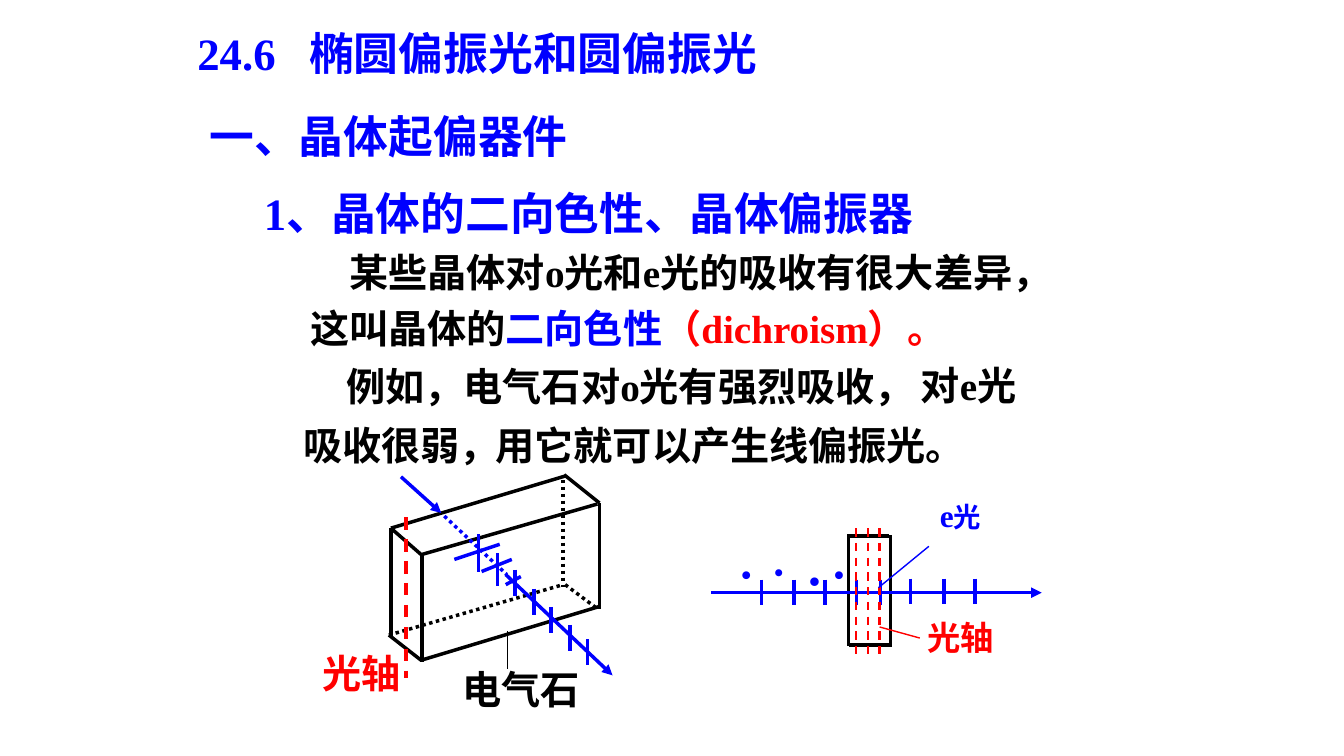
from lxml import etree
from pptx import Presentation
from pptx.dml.color import RGBColor
from pptx.enum import dml, shapes
from pptx.oxml import ns
from pptx.util import Inches, Pt

COLORS = {"blue": "0000FF", "red": "FF0000", "black": "000000"}
FONT = "Times New Roman"
TITLE_TAB = 1.11

# left, top, width, height, size, runs of (text, colour)
HEADINGS = [
    (1.86, 0.21, 7.75, 0.64, 32, [("24.6\t椭圆偏振光和圆偏振光", "blue")]),
    (1.98, 1.03, 5.17, 0.64, 32, [("一、晶体起偏器件", "blue")]),
    (2.52, 1.79, 7.65, 0.64, 32, [("1、晶体的二向色性、晶体偏振器", "blue")]),
]
BODY = [
    (3.37, 2.41, 7.94, 0.57, 28, [("某些晶体对o光和e光的吸收有很大差异，", "black")]),
    (2.98, 2.97, 8.33, 0.57, 28, [("这叫晶体的", "black"), ("二向色性", "blue"),
                                  ("（dichroism）。", "red")]),
    (3.34, 3.55, 8.03, 0.57, 28, [("例如，电气石对o光有强烈吸收，", "black")]),
    (9.04, 3.54, 1.88, 0.57, 28, [("对e光", "black")]),
    (2.91, 4.13, 3.56, 0.57, 28, [("吸收很弱，", "black")]),
    (4.82, 4.13, 5.48, 0.57, 28, [("用它就可以产生线偏振光。", "black")]),
]
CRYSTAL_LABELS = [
    (4.49, 6.55, 1.59, 0.71, 28, [("电气石", "black")]),
    (3.10, 6.39, 1.08, 0.76, 28, [("光轴", "red")]),
]
AXIS_LABEL = (9.11, 6.12, 1.37, 0.53, 23.8, [("光轴", "red")])
E_RAY_LABEL = (9.23, 4.94, 1.11, 0.51, 22.4, [("e", "blue"), ("光", "blue")])
E_RAY_SIZES = (22.4, 19.6)

# Lines are x1, y1, x2, y2
PLATE_EDGES = [(8.41, 5.32, 8.82, 5.32), (8.42, 5.32, 8.42, 6.41),
               (8.84, 5.31, 8.84, 6.42), (8.43, 6.40, 8.83, 6.40)]
PLATE_RAY = (7.06, 5.88, 10.34, 5.88)
TICKS_BEFORE = [7.56, 7.88, 8.19, 8.50, 8.74]
TICKS_AFTER = [9.04, 9.37, 9.68]
PLATE_TICK = 0.25
PLATE_AXES = [8.50, 8.62, 8.73]
# left, height, size, line spacing
O_RAY_DOTS = [(7.32, 0.63, 34.1, 0.8), (7.65, 0.58, 30.8, 0.8),
              (7.99, 0.69, 37.4, 0.9), (8.24, 0.61, 34.1, 0.8)]

CRYSTAL_EDGES = [
    (3.88, 5.24, 4.19, 5.51), (3.86, 6.30, 4.18, 6.55), (3.88, 5.24, 3.88, 6.31),
    (4.19, 5.51, 4.19, 6.57), (4.18, 6.55, 5.94, 6.02), (4.19, 5.50, 5.93, 5.00),
    (3.88, 5.24, 5.62, 4.72), (5.95, 4.99, 5.95, 6.04), (5.60, 4.71, 5.95, 4.99),
]
HIDDEN_EDGES = [(5.59, 4.76, 5.59, 5.82), (5.61, 5.80, 5.93, 6.04),
                (3.86, 6.30, 5.59, 5.80)]
RAY_IN = (3.98, 4.73, 4.38, 5.09)
RAY_INSIDE = (4.41, 5.12, 5.03, 5.70)
RAY_OUT = (5.02, 5.70, 6.08, 6.70)
# x, top, height
E_TICKS = [(4.75, 5.30, 0.37), (4.94, 5.49, 0.32), (5.11, 5.65, 0.26),
           (5.30, 5.84, 0.26), (5.47, 6.02, 0.26), (5.66, 6.20, 0.26),
           (5.83, 6.34, 0.26)]
O_TICKS = [(4.51, 5.55, 4.96, 5.40), (4.78, 5.67, 5.08, 5.55),
           (5.02, 5.80, 5.17, 5.72)]
CRYSTAL_AXIS = (4.03, 5.13, 4.03, 6.73)

DASH = dml.MSO_LINE.DASH
DOTS = dml.MSO_LINE.ROUND_DOT


def add_text(slide, label, spacing=None, inset=(0.1, 0.05), sizes=None):
    """Add one line of text; sizes overrides the size run by run."""
    left, top, width, height, size, runs = label
    frame = slide.shapes.add_textbox(*map(Inches, (left, top, width, height))).text_frame
    frame.word_wrap = True
    frame.margin_left = frame.margin_right = Inches(inset[0])
    frame.margin_top = frame.margin_bottom = Inches(inset[1])
    line = frame.paragraphs[0]
    if "\t" in runs[0][0]:
        tabs = etree.SubElement(line._p.get_or_add_pPr(), ns.qn("a:tabLst"))
        etree.SubElement(tabs, ns.qn("a:tab"), pos=str(Inches(TITLE_TAB)), algn="l")
    line.font.name, line.font.size, line.font.bold = FONT, Pt(size), True
    if spacing:
        line.line_spacing = spacing
    for i, (words, color) in enumerate(runs):
        run = line.add_run()
        run.text = words
        run.font.color.rgb = RGBColor.from_string(COLORS[color])
        if sizes:
            run.font.size = Pt(sizes[i])


def add_line(slide, ends, color, weight=2.5, dash=None, arrow=False):
    line = slide.shapes.add_connector(shapes.MSO_CONNECTOR.STRAIGHT, *map(Inches, ends))
    line.line.color.rgb = RGBColor.from_string(COLORS[color])
    line.line.width = Pt(weight)
    if dash:
        line.line.dash_style = dash
    if arrow:
        etree.SubElement(line.line._get_or_add_ln(), ns.qn("a:tailEnd"), type="triangle")
    etree.SubElement(line._element.spPr, ns.qn("a:effectLst"))


def draw_plate(slide):
    for edge in PLATE_EDGES:
        add_line(slide, edge, "black")
    add_line(slide, PLATE_RAY, "blue", arrow=True)
    for xs, top in ((TICKS_BEFORE, 5.75), (TICKS_AFTER, 5.74)):
        for x in xs:
            add_line(slide, (x, top, x, top + PLATE_TICK), "blue")
    for left, height, size, spacing in O_RAY_DOTS:
        add_text(slide, (left, 5.49, 0.46, height, size, [("·", "blue")]),
                 spacing, inset=(0.01, 0.01))
    for x in PLATE_AXES:
        add_line(slide, (x, 5.24, x, 6.52), "red", 1.5, DASH)
    add_text(slide, AXIS_LABEL, 0.9)
    add_line(slide, (8.73, 6.22, 9.13, 6.33), "red", 1)
    add_line(slide, (8.72, 5.83, 9.22, 5.42), "blue", 1)
    add_text(slide, E_RAY_LABEL, 0.8, sizes=E_RAY_SIZES)


def draw_crystal(slide):
    for edge in CRYSTAL_EDGES:
        add_line(slide, edge, "black")
    for edge in HIDDEN_EDGES:
        add_line(slide, edge, "black", dash=DOTS)
    add_line(slide, RAY_OUT, "blue", arrow=True)
    add_line(slide, RAY_IN, "blue", arrow=True)
    add_line(slide, RAY_INSIDE, "blue", dash=DOTS)
    for x, top, height in E_TICKS:
        add_line(slide, (x, top, x, top + height), "blue")
    for tick in O_TICKS:
        add_line(slide, tick, "blue")
    add_line(slide, (5.04, 6.26, 5.04, 6.64), "black", 1)
    add_line(slide, CRYSTAL_AXIS, "red", 2.25, DASH)
    for label in CRYSTAL_LABELS:
        add_text(slide, label)


def main():
    deck = Presentation()
    deck.slide_width, deck.slide_height = Inches(13.34), Inches(7.5)
    slide = deck.slides.add_slide(deck.slide_layouts[6])
    for label in HEADINGS + BODY:
        add_text(slide, label)
    draw_plate(slide)
    draw_crystal(slide)
    deck.save("out.pptx")


if __name__ == "__main__":
    main()
